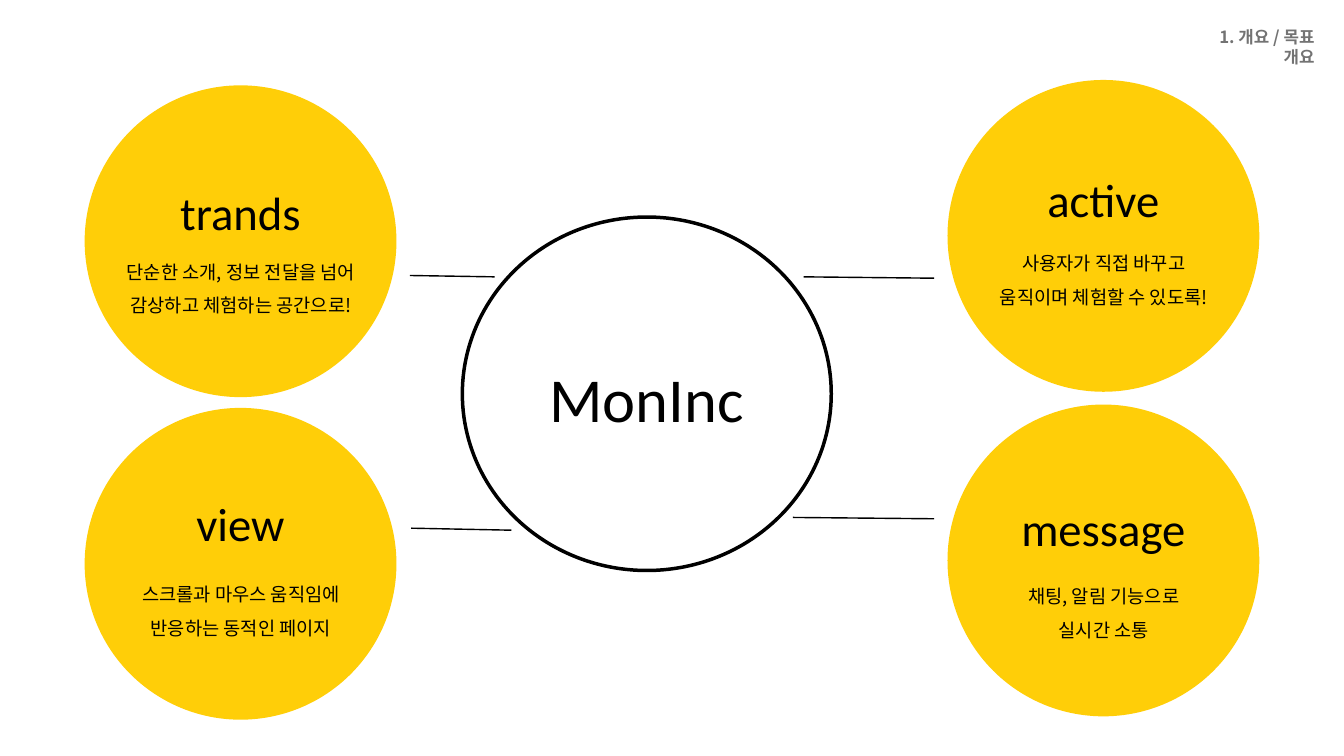
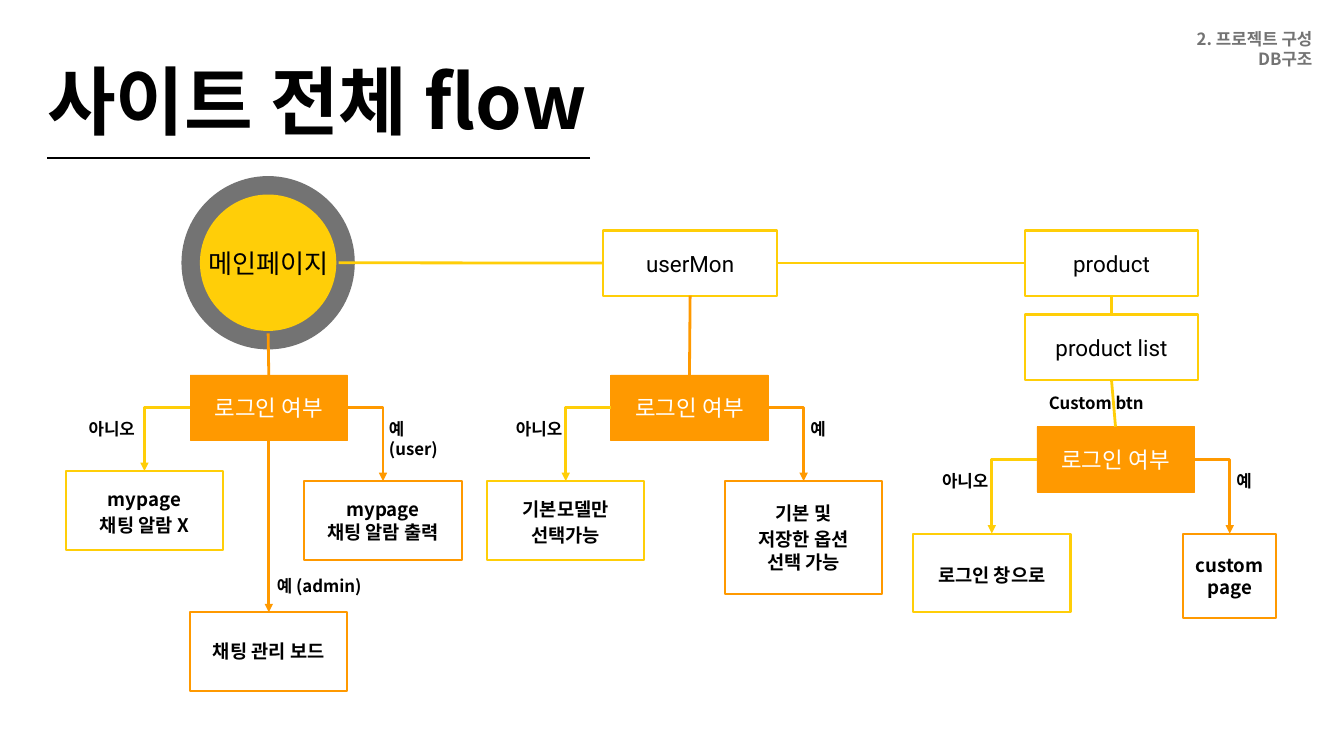
"""Build the project overview slide and the site flow slide."""
from dataclasses import dataclass

from lxml import etree
from pptx import Presentation
from pptx.dml.color import RGBColor
from pptx.enum import shapes, text
from pptx.oxml import ns
from pptx.util import Inches, Pt

LEFT, CENTER, RIGHT = text.PP_ALIGN.LEFT, text.PP_ALIGN.CENTER, text.PP_ALIGN.RIGHT
TOP_SIDE, LEFT_SIDE, BOTTOM_SIDE, RIGHT_SIDE = range(4)


@dataclass(frozen=True)
class Font:
    """Typeface, size, colour and weight of one text role."""
    name: str
    size: float
    color: str = "000000"
    bold: bool = False


@dataclass(frozen=True)
class Theme:
    """Colours, type roles and line widths shared by the slides."""
    black: str = "000000"
    white: str = "FFFFFF"
    gray: str = "737373"
    yellow: str = "FFCE08"
    orange: str = "FF9900"
    title: Font = Font("Noto Sans CJK KR", 80, bold=True)
    header: Font = Font("Noto Sans CJK KR", 18, "737373", True)
    hub: Font = Font("Calibri", 67)
    heading: Font = Font("Calibri", 50)
    body: Font = Font("Noto Sans CJK KR", 20)
    start: Font = Font("Roboto", 28)
    page: Font = Font("Roboto", 24)
    decision: Font = Font("Roboto", 24, "FFFFFF")
    result: Font = Font("Noto Sans CJK KR", 20, bold=True)
    label: Font = Font("Noto Sans CJK KR", 18, bold=True)
    thin: float = 1.5
    border: float = 2.25
    flow: float = 3


class Deck:
    """Holds the theme and the current slide and draws elements on it."""

    def __init__(self, theme):
        self.theme = theme
        self.presentation = Presentation()
        self.presentation.slide_width = Inches(20)
        self.presentation.slide_height = Inches(11.25)
        self.slide = None

    def new_slide(self, layout_name):
        """Start a slide on the named layout."""
        layout = self.presentation.slide_layouts.get_by_name(layout_name)
        self.slide = self.presentation.slides.add_slide(layout)

    def set_text(self, shape, lines, font, align, inset, spacing=None):
        """Fill a shape with one paragraph per line and format the runs."""
        frame = shape.text_frame
        frame.text = "\n".join(lines)
        frame.word_wrap = True
        frame.margin_left = frame.margin_right = Inches(inset)
        frame.margin_top = frame.margin_bottom = Inches(inset)
        for paragraph in frame.paragraphs:
            paragraph.alignment = align
            if spacing:
                paragraph.line_spacing = spacing
            for run in paragraph.runs:
                run.font.size = Pt(font.size)
                run.font.bold = font.bold
                run.font.color.rgb = RGBColor.from_string(font.color)
                run.font.name = font.name
                east_asian = etree.SubElement(run.font._element, ns.qn("a:ea"))
                east_asian.set("typeface", font.name)

    def title(self, words, left, top, width, height):
        """Place the title placeholder."""
        shape = self.slide.shapes.title
        shape.left, shape.top = Inches(left), Inches(top)
        shape.width, shape.height = Inches(width), Inches(height)
        self.set_text(shape, [words], self.theme.title, LEFT, 0)
        shape.text_frame.vertical_anchor = text.MSO_ANCHOR.TOP
        shape.text_frame.auto_size = text.MSO_AUTO_SIZE.NONE

    def text(self, lines, left, top, width, height, font, align=CENTER, inset=0, spacing=None):
        """Add a text box that grows with its text."""
        shape = self.slide.shapes.add_textbox(Inches(left), Inches(top), Inches(width), Inches(height))
        self.set_text(shape, lines, font, align, inset, spacing)
        shape.text_frame.auto_size = text.MSO_AUTO_SIZE.SHAPE_TO_FIT_TEXT

    def header(self, lines, left, top, width):
        """Add the section header in the top right corner."""
        self.text(lines, left, top, width, 0.61, self.theme.header, RIGHT)

    def label(self, words, left, top, width=1.17, height=0.5):
        """Add a small label next to a flow line."""
        self.text([words], left, top, width, height, self.theme.label, LEFT, 0.1)

    def shape(self, kind, left, top, width, height, fill=None, line=None, weight=0.75):
        """Add a preset shape with a plain fill and outline."""
        shape = self.slide.shapes.add_shape(kind, Inches(left), Inches(top), Inches(width), Inches(height))
        shape.shadow.inherit = False
        if fill:
            shape.fill.solid()
            shape.fill.fore_color.rgb = RGBColor.from_string(fill)
        else:
            shape.fill.background()
        if line:
            shape.line.color.rgb = RGBColor.from_string(line)
            shape.line.width = Pt(weight)
        else:
            shape.line.fill.background()
        return shape

    def oval(self, left, top, width, height, **style):
        """Add an ellipse."""
        return self.shape(shapes.MSO_SHAPE.OVAL, left, top, width, height, **style)

    def box(self, lines, left, top, width, height, font, line, fill=None, weight=None, spacing=None):
        """Add a rectangle with centred text."""
        shape = self.shape(shapes.MSO_SHAPE.RECTANGLE, left, top, width, height,
                           fill or self.theme.white, line, weight or self.theme.border)
        self.set_text(shape, lines, font, CENTER, 0.1, spacing)
        shape.text_frame.vertical_anchor = text.MSO_ANCHOR.MIDDLE
        return shape

    def page(self, name, left, top):
        """Add a box for a site page."""
        return self.box([name], left, top, 2.58, 0.97, self.theme.page, self.theme.yellow)

    def decision(self, left, top):
        """Add a login check."""
        return self.box(["로그인 여부"], left, top, 2.34, 0.97, self.theme.decision,
                        self.theme.orange, self.theme.orange, 0.75)

    def result(self, lines, center, top, line, width=2.34, height=1.17, spacing=None):
        """Add an outcome box centred on a given position."""
        return self.box(lines, center - width / 2, top, width, height,
                        self.theme.result, line, spacing=spacing)

    def connect(self, begin, end, color, weight, arrow=False, bent=False):
        """Join two ends, each a point or a shape with a side number."""
        kind = shapes.MSO_CONNECTOR.ELBOW if bent else shapes.MSO_CONNECTOR.STRAIGHT
        connector = self.slide.shapes.add_connector(kind, 0, 0, 0, 0)
        if isinstance(begin[0], (int, float)):
            connector.begin_x, connector.begin_y = map(Inches, begin)
        else:
            connector.begin_connect(*begin)
        if isinstance(end[0], (int, float)):
            connector.end_x, connector.end_y = map(Inches, end)
        else:
            connector.end_connect(*end)
        connector.line.color.rgb = RGBColor.from_string(color)
        connector.line.width = Pt(weight)
        properties = connector._element.spPr
        if bent:
            properties.find(ns.qn("a:prstGeom")).set("prst", "bentConnector2")
        if arrow:
            tail = etree.SubElement(properties.find(ns.qn("a:ln")), ns.qn("a:tailEnd"))
            tail.set("type", "triangle")
        etree.SubElement(properties, ns.qn("a:effectLst"))


def build_overview(deck):
    """Draw the four goals around the project name."""
    theme = deck.theme
    deck.new_slide("Blank")
    deck.header(["1. 개요 / 목표", "개요"], 17.62, 0.39, 1.94)
    deck.oval(6.88, 3.23, 5.49, 5.26, line=theme.black, weight=3.75)
    deck.text(["MonInc"], 7.18, 5.35, 4.88, 1.13, theme.hub)

    diameter = 4.64
    goals = [
        ("trands", ["단순한 소개, 정보 전달을 넘어", "감상하고 체험하는 공간으로!"], 1.26, 1.27, 2.74, 3.71),
        ("active", ["사용자가 직접 바꾸고", "움직이며 체험할 수 있도록!"], 14.1, 1.19, 2.54, 3.58),
        ("view", ["스크롤과 마우스 움직임에", "반응하는 동적인 페이지"], 1.26, 6.07, 7.37, 8.51),
        ("message", ["채팅, 알림 기능으로", "실시간 소통"], 14.1, 6.02, 7.44, 8.54),
    ]
    for heading, body, left, top, heading_top, body_top in goals:
        center = left + diameter / 2
        deck.oval(left, top, diameter, diameter, fill=theme.yellow)
        deck.text([heading], center - 1.32, heading_top, 2.64, 0.84, theme.heading)
        deck.text(body, center - 1.92, body_top, 3.85, 0.84, theme.body, spacing=1.5)

    spokes = [((6.1, 4.1), (7.36, 4.12)), ((11.96, 4.12), (13.9, 4.14)),
              ((6.12, 7.86), (7.61, 7.89)), ((11.8, 7.7), (13.9, 7.72))]
    for begin, end in spokes:
        deck.connect(begin, end, theme.black, theme.thin)


def build_flow(deck):
    """Draw the page flow with its three login checks."""
    theme = deck.theme
    deck.new_slide("Title Only")
    deck.title("사이트 전체 flow", 0.7, 0.81, 8.73, 1.35)
    deck.connect((8.78, 2.35), (0.7, 2.35), theme.black, theme.thin)
    deck.header(["2. 프로젝트 구성", "DB구조"], 11.22, 0.43, 8.31)

    main_x, main_y = 3.99, 3.91
    for diameter, color in [(2.58, theme.gray), (2.03, theme.yellow)]:
        deck.oval(main_x - diameter / 2, main_y - diameter / 2, diameter, diameter, fill=color)
    deck.text(["메인페이지"], 2.94, 3.68, 2.1, 0.47, theme.start)

    user = deck.page("userMon", 8.98, 3.43)
    product = deck.page("product", 15.25, 3.43)
    product_list = deck.page("product list", 15.25, 4.68)
    main_login = deck.decision(2.83, 5.58)
    user_login = deck.decision(9.09, 5.58)
    product_login = deck.decision(15.43, 6.35)

    no_alarm = deck.result(["mypage", "채팅 알람 X"], 2.15, 7.01, theme.yellow, spacing=1.15)
    alarm = deck.result(["mypage", "채팅 알람 출력"], 5.7, 7.16, theme.orange)
    board = deck.result(["채팅 관리 보드"], 4, 9.11, theme.orange)
    basic = deck.result(["기본모델만 선택가능"], 8.42, 7.16, theme.yellow, spacing=1.15)
    options = deck.result(["기본 및", "저장한 옵션", "선택 가능"], 11.96, 7.16, theme.orange, height=1.68)
    options.text_frame.paragraphs[1].line_spacing = 1.15
    login_page = deck.result(["로그인 창으로"], 14.76, 7.94, theme.yellow, spacing=1.15)
    custom_page = deck.result(["custom", "page"], 18.3, 7.94, theme.orange, 1.38, 1.26)

    links = [
        ((5.04, main_y), (user, LEFT_SIDE), theme.yellow),
        ((user, RIGHT_SIDE), (product, LEFT_SIDE), theme.yellow),
        ((product, BOTTOM_SIDE), (product_list, TOP_SIDE), theme.yellow),
        ((product_list, BOTTOM_SIDE), (product_login, TOP_SIDE), theme.yellow),
        ((main_x, 4.96), (main_login, TOP_SIDE), theme.orange),
        ((user, BOTTOM_SIDE), (user_login, TOP_SIDE), theme.orange),
    ]
    for begin, end, color in links:
        deck.connect(begin, end, color, theme.flow)
    deck.connect((main_login, BOTTOM_SIDE), (board, TOP_SIDE), theme.orange, theme.flow, arrow=True)

    branches = [(main_login, no_alarm, alarm), (user_login, basic, options),
                (product_login, login_page, custom_page)]
    for login, no_result, yes_result in branches:
        for side, target, color in [(LEFT_SIDE, no_result, theme.yellow),
                                    (RIGHT_SIDE, yes_result, theme.orange)]:
            deck.connect((login, side), (target, TOP_SIDE), color, theme.flow, arrow=True, bent=True)

    for left, top in [(1.22, 6.13), (7.58, 6.13), (13.92, 6.91)]:
        deck.label("아니오", left, top)
    for left, top in [(11.96, 6.13), (18.3, 6.91)]:
        deck.label("예", left, top)
    deck.label("예 (user)", 5.69, 6.13, height=0.81)
    deck.label("예 (admin)", 4.02, 8.47, 1.81)
    deck.label("Custom btn", 15.51, 5.75, 1.81)


def main():
    """Build both slides and save them."""
    deck = Deck(Theme())
    build_overview(deck)
    build_flow(deck)
    deck.presentation.save("out.pptx")


if __name__ == "__main__":
    main()
